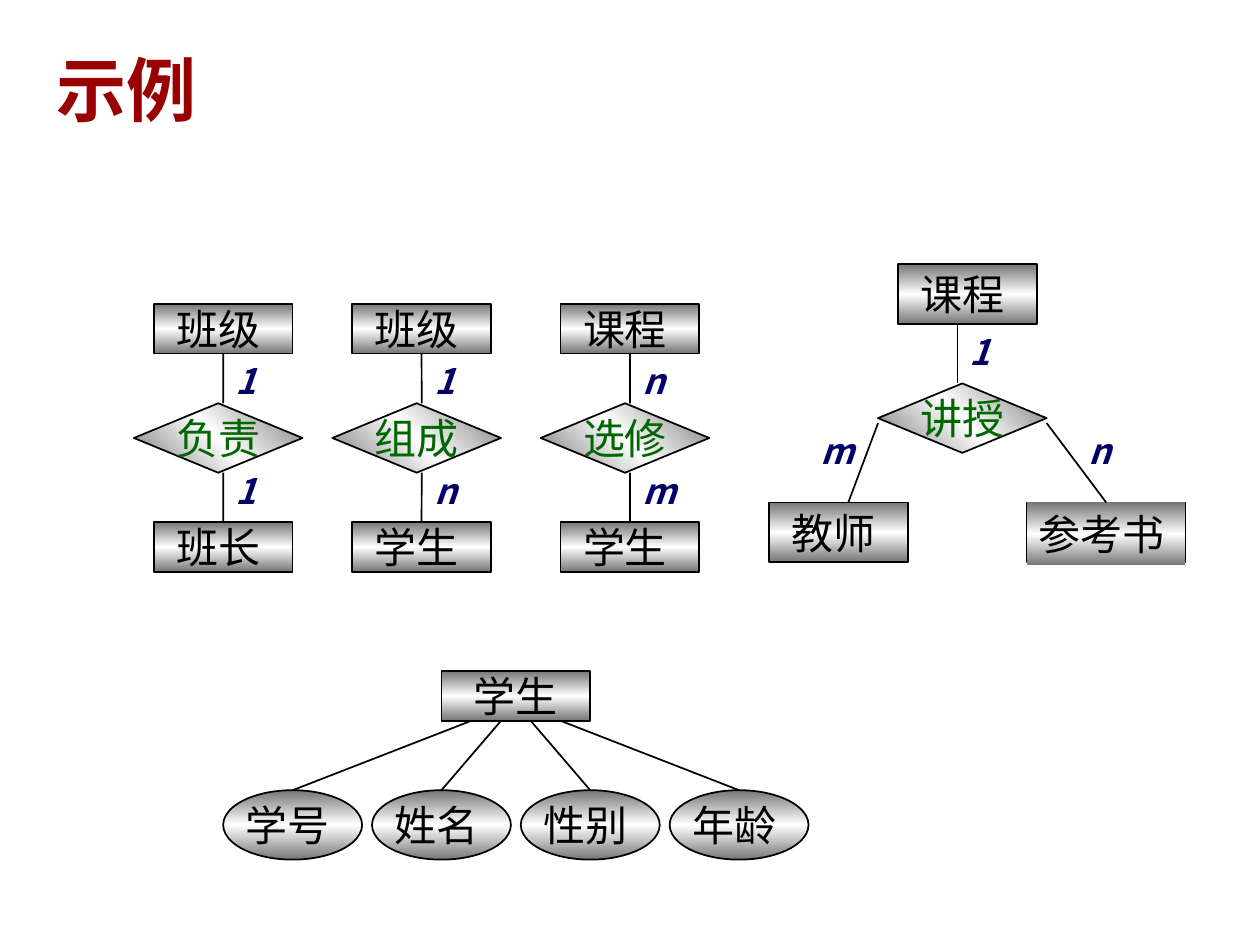
from copy import deepcopy

from lxml.etree import SubElement
from pptx import Presentation
from pptx.dml.color import RGBColor
from pptx.enum.shapes import MSO_CONNECTOR, MSO_SHAPE
from pptx.enum.text import MSO_ANCHOR, PP_ALIGN
from pptx.oxml.ns import qn
from pptx.util import Cm, Pt

COLORS = {"title": "990000", "entity": "000000", "relation": "006600",
          "cardinality": "000066", "line": "000000",
          "edge": "767676", "middle": "FFFFFF"}
COLORS = {part: RGBColor.from_string(value) for part, value in COLORS.items()}
TOP, BOTTOM = 0, 2

prs = Presentation()
prs.slide_width, prs.slide_height = Cm(25.4), Cm(19.05)
slide = prs.slides.add_slide(prs.slide_layouts[6])


def add_node(text, kind, x, y, width, height, shift=0.1, outlined=True):
    """Draw one E-R symbol; shift moves its text left of the centre."""
    node = slide.shapes.add_shape(kind, Cm(x), Cm(y), Cm(width), Cm(height))
    node.shadow.inherit = False
    if outlined:
        node.line.color.rgb = COLORS["line"]
        node.line.width = Pt(1)
    else:
        node.line.fill.background()
    if not text:
        node.fill.background()
        return node

    is_relation = kind == MSO_SHAPE.DIAMOND
    node.fill.gradient()
    node.fill.gradient_angle = 45 if is_relation else 270
    stop_list = node._element.spPr.find(".//" + qn("a:gsLst"))
    stop_list.insert(1, deepcopy(stop_list[0]))
    for stop, position, part in zip(node.fill.gradient_stops, (0, 0.5, 1),
                                    ("edge", "middle", "edge")):
        stop.position = position
        stop.color.rgb = COLORS[part]

    frame = node.text_frame
    frame.word_wrap = False
    frame.vertical_anchor = MSO_ANCHOR.MIDDLE
    frame.margin_left = frame.margin_top = frame.margin_bottom = 0
    frame.margin_right = Cm(2 * shift)
    frame.text = text
    paragraph = frame.paragraphs[0]
    paragraph.alignment = PP_ALIGN.CENTER
    font = paragraph.runs[0].font
    font.name, font.size = "Courier New", Pt(24)
    font.color.rgb = COLORS["relation" if is_relation else "entity"]
    return node


def add_link(x1, y1, x2, y2):
    link = slide.shapes.add_connector(MSO_CONNECTOR.STRAIGHT,
                                      Cm(x1), Cm(y1), Cm(x2), Cm(y2))
    link.line.color.rgb = COLORS["line"]
    link.line.width = Pt(1)
    SubElement(link._element.spPr, qn("a:effectLst"))
    return link


# Title
title = slide.shapes.add_textbox(Cm(0.9), Cm(0.91), Cm(7.3), Cm(1.75))
title.text_frame.word_wrap = True
title.text_frame.vertical_anchor = MSO_ANCHOR.MIDDLE
title.text_frame.text = "示例"
title_font = title.text_frame.paragraphs[0].runs[0].font
title_font.name, title_font.size, title_font.bold = "Times New Roman", Pt(40), True
title_font.color.rgb = COLORS["title"]

# Binary relations: entity, relation, entity from top to bottom
cardinalities = []
for x, upper, relation, lower, upper_count, lower_count in [
        (3.1, "班级", "负责", "班长", "1", "1"),
        (7.1, "班级", "组成", "学生", "1", "n"),
        (11.3, "课程", "选修", "学生", "n", "m")]:
    middle = x + 1.4
    upper_entity = add_node(upper, MSO_SHAPE.RECTANGLE, x, 6.13, 2.8, 1)
    lower_entity = add_node(lower, MSO_SHAPE.RECTANGLE, x, 10.53, 2.8, 1)
    add_node(relation, MSO_SHAPE.DIAMOND, x - 0.4, 8.13, 3.4, 1.4, shift=0)
    add_link(middle, 7.13, middle, 8.13).begin_connect(upper_entity, BOTTOM)
    add_link(middle, 9.53, middle, 10.53).end_connect(lower_entity, TOP)
    cardinalities += [(upper_count, middle, 7.13), (lower_count, middle, 9.33)]

# Ternary relation
add_node("课程", MSO_SHAPE.RECTANGLE, 18.1, 5.33, 2.8, 1.2)
add_node("教师", MSO_SHAPE.RECTANGLE, 15.5, 10.13, 2.8, 1.2)
book = add_node("", MSO_SHAPE.RECTANGLE, 20.7, 10.13, 3.2, 1.2)
add_node("参考书", MSO_SHAPE.RECTANGLE, 20.7, 10.13, 3.2, 1.27, outlined=False)
add_node("讲授", MSO_SHAPE.DIAMOND, 17.7, 7.73, 3.4, 1.4, shift=0)
add_link(19.3, 6.53, 19.3, 7.73)
add_link(17.7, 8.53, 17.1, 10.13)
add_link(21.1, 8.53, 22.3, 10.13).end_connect(book, TOP)
cardinalities += [("1", 19.3, 6.53), ("n", 21.7, 8.53), ("m", 16.3, 8.53)]

for count, x, y in cardinalities:
    cardinality = slide.shapes.add_textbox(Cm(x), Cm(y), Cm(1), Cm(1.12))
    cardinality.text_frame.word_wrap = True
    cardinality.text_frame.margin_right = 0
    cardinality.text_frame.text = count
    count_font = cardinality.text_frame.paragraphs[0].runs[0].font
    count_font.name, count_font.size = "Noto Sans CJK SC", Pt(20)
    count_font.bold = count_font.italic = True
    count_font.color.rgb = COLORS["cardinality"]

# Entity with its attributes
add_node("学生", MSO_SHAPE.RECTANGLE, 8.9, 13.53, 3, 1, shift=0)
for i, name in enumerate(["学号", "姓名", "性别", "年龄"]):
    x = 4.5 + 3 * i
    attribute = add_node(name, MSO_SHAPE.OVAL, x, 15.93, 2.8, 1.4)
    add_link(9.5 + 0.6 * i, 14.53, x + 1.4, 15.93).end_connect(attribute, TOP)

prs.save("out.pptx")
